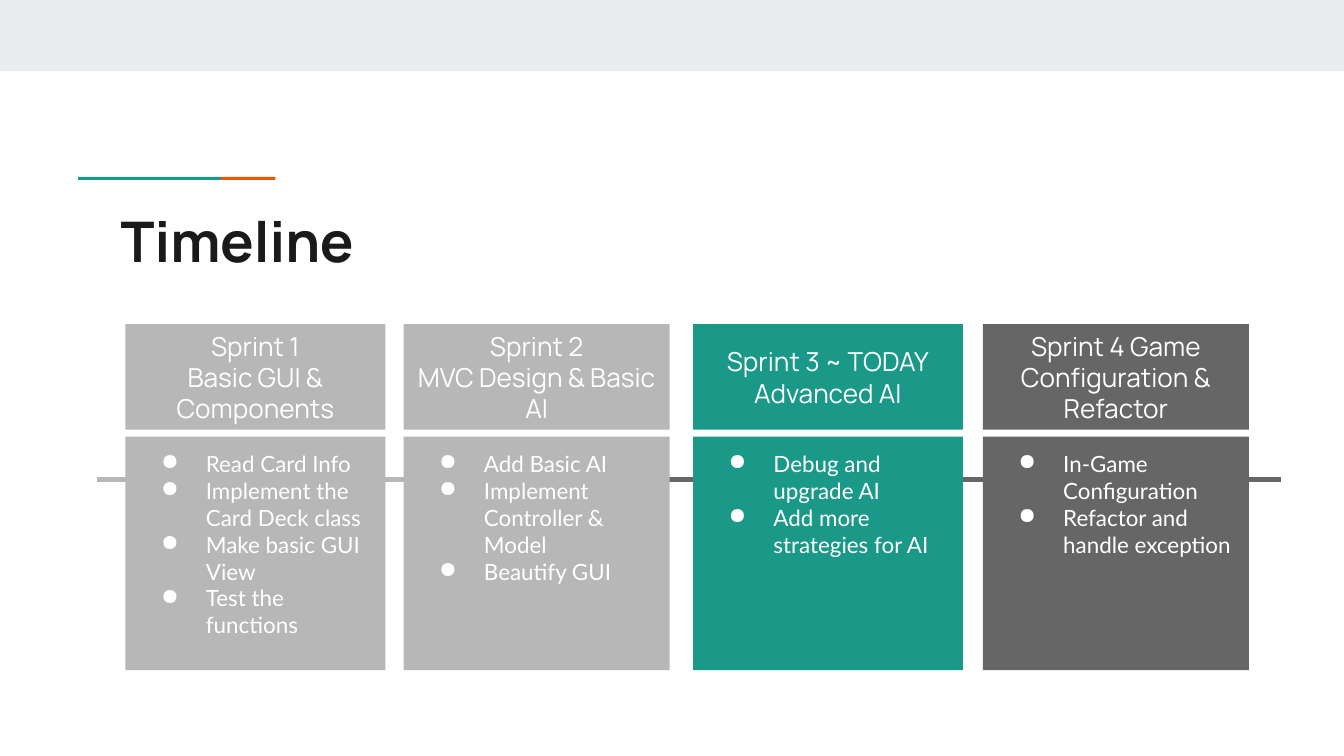
from lxml.etree import SubElement
from pptx import Presentation
from pptx.dml.color import RGBColor
from pptx.enum.shapes import MSO_CONNECTOR, MSO_SHAPE
from pptx.enum.text import MSO_ANCHOR, PP_ALIGN
from pptx.oxml.ns import qn
from pptx.util import Pt

TEAL, ORANGE = "1A9988", "EB5600"
PAST, FUTURE = "B7B7B7", "666666"
WHITE, INK, BAND = "FFFFFF", "1A1A1A", "E9EDEE"
HEADING_FONT, BODY_FONT = "Manrope", "Lato"


def color(hex_string):
    return RGBColor.from_string(hex_string)


class SlideBuilder:
    margin = 7.2
    bullet_indent = 36
    bullet_hang = 24

    def __init__(self, slide):
        self.slide = slide

    def block(self, left, top, width, height, fill):
        shape = self.slide.shapes.add_shape(
            MSO_SHAPE.RECTANGLE, Pt(left), Pt(top), Pt(width), Pt(height))
        shape.shadow.inherit = False
        shape.fill.solid()
        shape.fill.fore_color.rgb = color(fill)
        shape.line.fill.background()
        return shape

    def line(self, start, end, y, stroke):
        connector = self.slide.shapes.add_connector(
            MSO_CONNECTOR.STRAIGHT, Pt(start), Pt(y), Pt(end), Pt(y))
        connector.line.color.rgb = color(stroke)
        connector.line.width = Pt(3)
        SubElement(connector._element.spPr, qn("a:effectLst"))

    def fill_text(self, box, lines, font, size, ink, bold=False,
                  align=PP_ALIGN.LEFT, anchor=MSO_ANCHOR.TOP, bullets=False):
        frame = box.text_frame
        frame.word_wrap = True
        frame.vertical_anchor = anchor
        frame.margin_left = frame.margin_right = Pt(self.margin)
        frame.margin_top = frame.margin_bottom = Pt(self.margin)
        frame.text = "\n".join(lines)
        for para in frame.paragraphs:
            para.alignment = align
            if bullets:
                self.bullet(para, ink)
            for span in para.runs:
                span.font.name = font
                span.font.size = Pt(size)
                span.font.bold = bold
                span.font.color.rgb = color(ink)

    def bullet(self, para, ink):
        properties = para._p.get_or_add_pPr()
        properties.set("marL", str(Pt(self.bullet_indent)))
        properties.set("indent", str(-Pt(self.bullet_hang)))
        bullet_color = SubElement(properties, qn("a:buClr"))
        SubElement(bullet_color, qn("a:srgbClr"), val=ink)
        SubElement(properties, qn("a:buChar"), char="●")

    def title(self, text, left, top, width, height):
        box = self.slide.shapes.add_textbox(
            Pt(left), Pt(top), Pt(width), Pt(height))
        self.fill_text(box, [text], HEADING_FONT, 30, INK, bold=True)

    def sprint(self, left, width, fill, heading, tasks):
        header = self.block(left, 173.7, width, 56.5, fill)
        self.fill_text(header, heading, HEADING_FONT, 14, WHITE,
                       align=PP_ALIGN.CENTER, anchor=MSO_ANCHOR.MIDDLE)
        body = self.block(left, 234, width, 125, fill)
        self.fill_text(body, tasks, BODY_FONT, 12, WHITE, bullets=True)


def main():
    deck = Presentation()
    deck.slide_width, deck.slide_height = Pt(720), Pt(405)
    page = SlideBuilder(deck.slides.add_slide(deck.slide_layouts[6]))

    # Top band and two-colour accent
    page.block(0, 0, 720, 38.2, BAND)
    page.block(118.3, 94.8, 29.3, 1.6, ORANGE)
    page.block(41.8, 94.8, 76.5, 1.6, TEAL)

    # Time axis: upcoming and finished parts
    page.line(320.4, 686.2, 256.8, FUTURE)
    page.line(51.8, 305.3, 256.8, PAST)

    page.title("Timeline", 57.6, 103.7, 605.5, 42.5)

    # Sprints: left, width, fill, heading, tasks
    sprints = [
        (67.2, 139.2, PAST, ["Sprint 1", "Basic GUI & Components"],
         ["Read Card Info", "Implement the Card Deck class",
          "Make basic GUI View", "Test the functions"]),
        (216.2, 142.6, PAST, ["Sprint 2", "MVC Design & Basic AI"],
         ["Add Basic AI", "Implement Controller & Model", "Beautify GUI"]),
        (371.3, 144.5, TEAL, ["Sprint 3 ~ TODAY", "Advanced AI"],
         ["Debug and upgrade AI", "Add more strategies for AI"]),
        (526.5, 142.6, FUTURE, ["Sprint 4 Game Configuration & Refactor"],
         ["In-Game Configuration", "Refactor and handle exception"]),
    ]
    for sprint in sprints:
        page.sprint(*sprint)

    deck.save("out.pptx")


if __name__ == "__main__":
    main()
